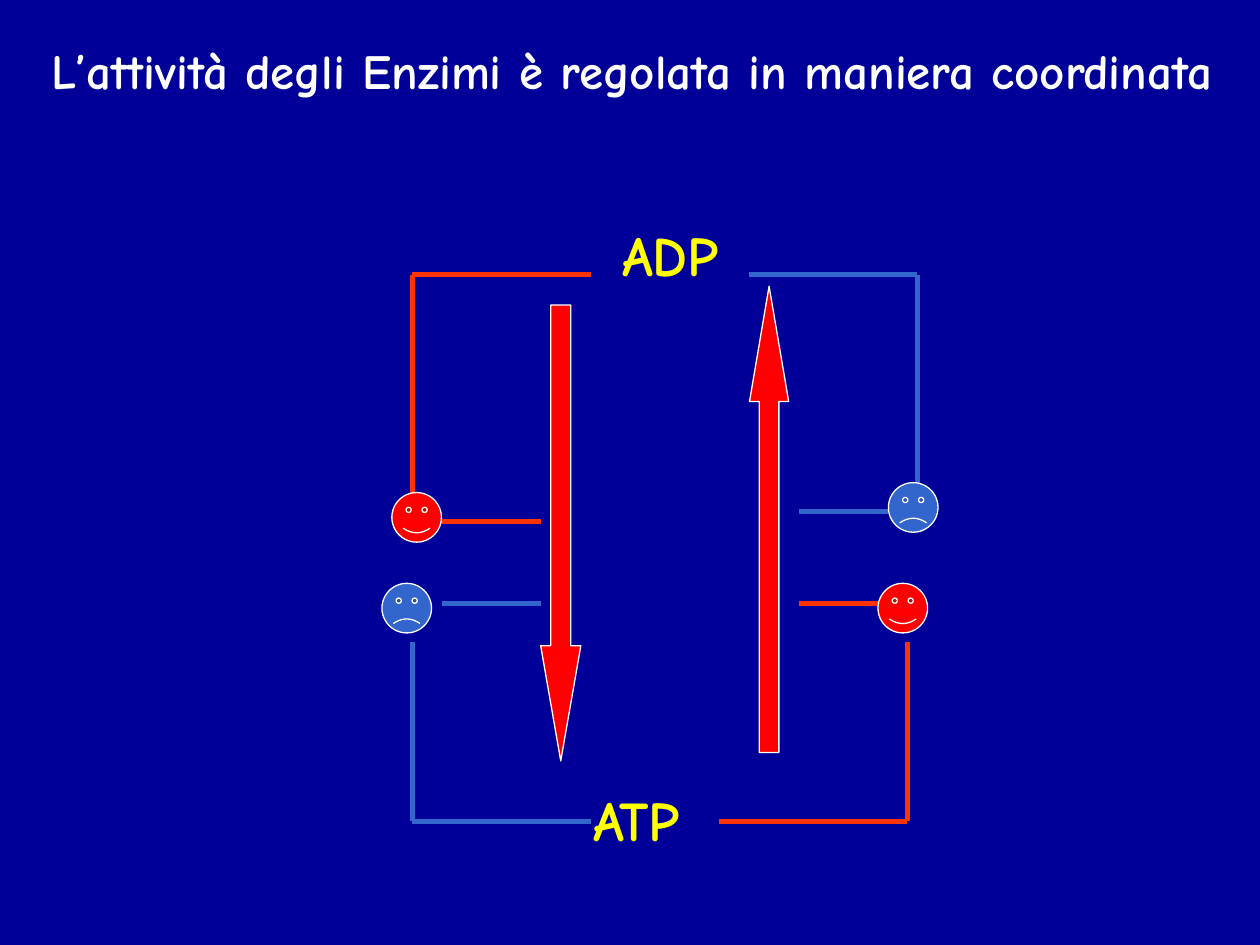
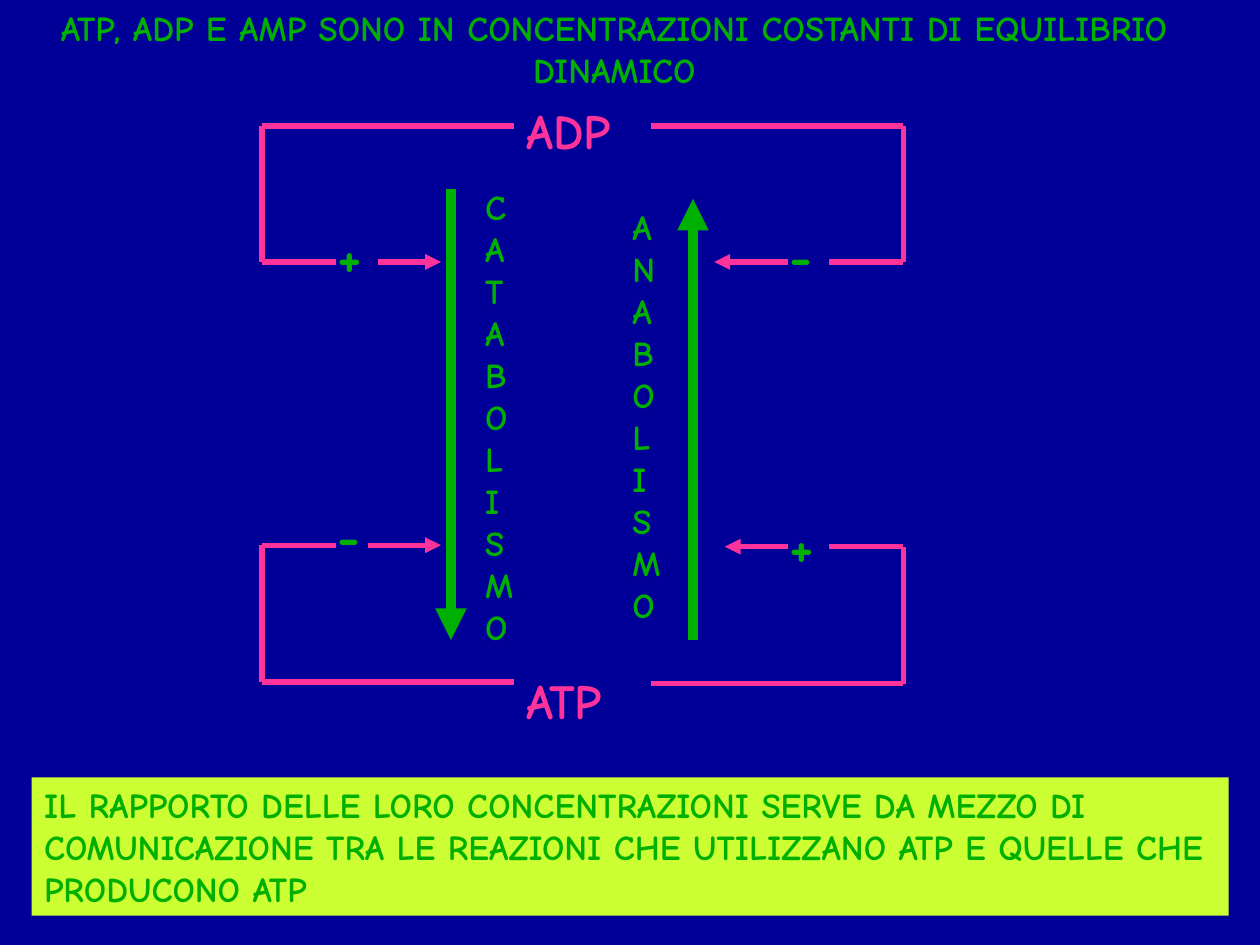
from itertools import pairwise

from lxml.etree import SubElement
from pptx import Presentation
from pptx.dml.color import RGBColor
from pptx.enum.shapes import MSO_CONNECTOR, MSO_SHAPE
from pptx.enum.text import PP_ALIGN
from pptx.oxml.ns import qn
from pptx.util import Cm, Pt

COLORS = {
    "background": "000099",
    "white": "FFFFFF",
    "yellow": "FFFF00",
    "active": "FF0000",
    "active_line": "FF3300",
    "inhibited": "3366CC",
    "green": "00B000",
    "pink": "FF3399",
    "lime": "CCFF33",
}
FONT = "Comic Neue"
FACE_SIZE = 1
SMILE = 0.047
SIGN_SIZE = (1.07, 1.6)


def color(name):
    return RGBColor.from_string(COLORS[name])


def add_page(deck):
    page = deck.slides.add_slide(deck.slide_layouts[6])
    page.background.fill.solid()
    page.background.fill.fore_color.rgb = color("background")
    return page


def write(box, text, size, ink, align=PP_ALIGN.LEFT):
    box.text_frame.word_wrap = True
    paragraph = box.text_frame.paragraphs[0]
    paragraph.text = text
    paragraph.alignment = align
    font = paragraph.font
    font.name, font.size, font.bold = FONT, Pt(size), True
    font.color.rgb = color(ink)


def add_text(page, place, text, size, ink, align=PP_ALIGN.LEFT):
    box = page.shapes.add_textbox(*map(Cm, place))
    write(box, text, size, ink, align)


def add_title(page, place, text, size, ink):
    add_text(page, place, text, size, ink, PP_ALIGN.CENTER)


def add_filled_shape(page, kind, place, fill, outline=None):
    shape = page.shapes.add_shape(kind, *map(Cm, place))
    shape.shadow.inherit = False
    shape.fill.solid()
    shape.fill.fore_color.rgb = color(fill)
    if outline:
        shape.line.color.rgb = color(outline)
        shape.line.width = Pt(0.75)
    else:
        shape.line.fill.background()
    return shape


def add_block_arrow(page, kind, place, head_length):
    arrow = add_filled_shape(page, kind, place, "active", "white")
    arrow.adjustments[0] = 0.5
    arrow.adjustments[1] = head_length


def add_face(page, left, top, happy):
    place = (left, top, FACE_SIZE, FACE_SIZE)
    fill = "active" if happy else "inhibited"
    face = add_filled_shape(page, MSO_SHAPE.SMILEY_FACE, place, fill, "white")
    face.adjustments[0] = SMILE if happy else -SMILE


def add_route(page, points, ink, width=3, arrow=False):
    """Join the points with straight lines, optionally ending in an arrowhead."""
    for start, end in pairwise(points):
        line = page.shapes.add_connector(
            MSO_CONNECTOR.STRAIGHT, *map(Cm, (*start, *end)))
        line.line.color.rgb = color(ink)
        line.line.width = Pt(width)
        properties = line._element.spPr
        if arrow and end == points[-1]:
            SubElement(properties.find(qn("a:ln")), qn("a:tailEnd"), type="triangle")
        SubElement(properties, qn("a:effectLst"))


def build_enzyme_regulation(deck):
    page = add_page(deck)
    add_title(page, (-0.41, 0.69, 26.29, 2.62),
              "L’attività degli Enzimi è regolata in maniera coordinata", 28, "white")

    # Opposite reactions between the two nucleotides
    add_block_arrow(page, MSO_SHAPE.DOWN_ARROW, (10.9, 6.15, 0.81, 9.19), 2.867)
    add_block_arrow(page, MSO_SHAPE.UP_ARROW, (15.11, 5.77, 0.79, 9.4), 2.945)
    add_text(page, (12.29, 4.32, 3.81, 1.6), "ADP", 32, "yellow")
    add_text(page, (11.71, 15.72, 3, 1.6), "ATP", 32, "yellow")

    # Paths from each nucleotide to a face, and from the face to a reaction
    routes = [
        ("active_line", [(11.91, 5.54), (8.31, 5.54), (8.31, 9.93)]),
        ("active_line", [(8.89, 10.52), (10.9, 10.52)]),
        ("inhibited", [(15.09, 5.54), (18.49, 5.54), (18.49, 10.31)]),
        ("inhibited", [(17.91, 10.31), (16.1, 10.31)]),
        ("inhibited", [(11.91, 16.56), (8.31, 16.56), (8.31, 12.95)]),
        ("inhibited", [(8.92, 12.17), (10.9, 12.17)]),
        ("active_line", [(14.5, 16.56), (18.29, 16.56), (18.29, 12.95)]),
        ("active_line", [(17.7, 12.17), (16.1, 12.17)]),
    ]
    for ink, points in routes:
        add_route(page, points, ink)

    # Enzymes switched on or off
    for left, top, happy in [(7.9, 9.93, True), (17.91, 9.73, False),
                             (7.7, 11.76, False), (17.7, 11.76, True)]:
        add_face(page, left, top, happy)


def build_dynamic_balance(deck):
    page = add_page(deck)
    add_title(page, (0, 0, 24.77, 1.96),
              "ATP, ADP E AMP SONO IN CONCENTRAZIONI COSTANTI DI EQUILIBRIO DINAMICO",
              20, "green")

    # Conclusion band
    band = add_filled_shape(page, MSO_SHAPE.RECTANGLE, (0.64, 15.67, 24.13, 2.79), "lime")
    write(band, "IL RAPPORTO DELLE LORO CONCENTRAZIONI SERVE DA MEZZO DI COMUNICAZIONE "
          "TRA LE REAZIONI CHE UTILIZZANO ATP E QUELLE CHE PRODUCONO ATP", 20, "green")

    # Nucleotides and the two pathways, whose names wrap letter by letter
    add_text(page, (10.36, 1.9, 2.54, 1.45), "ADP", 28, "pink")
    add_text(page, (10.36, 13.39, 2.54, 1.75), "ATP", 28, "pink")
    add_route(page, [(9.09, 3.81), (9.09, 12.9)], "green", 6, arrow=True)
    add_route(page, [(13.97, 12.9), (13.97, 4.01)], "green", 6, arrow=True)
    add_text(page, (9.53, 3.61, 1.07, 9.58), "CATABOLISMO", 20, "green")
    add_text(page, (12.5, 4.01, 1.07, 8.71), "ANABOLISMO", 20, "green")

    # Feedback loops: nucleotide row, sign row, arrow start and end, sign and its place
    left_side = (10.36, 5.28, 6.78)
    right_side = (13.13, 18.21, 16.71)
    loops = [
        (left_side, 2.54, 5.28, 7.62, 8.89, "+", (6.55, 4.32)),
        (right_side, 2.54, 5.28, 15.88, 14.4, "-", (15.67, 4.32)),
        (left_side, 13.75, 10.99, 7.42, 8.89, "-", (6.55, 9.96)),
        (right_side, 13.78, 11.02, 15.88, 14.61, "+", (15.67, 10.16)),
    ]
    for side, source_y, sign_y, start, end, sign, place in loops:
        inner, outer, stop = side
        add_route(page, [(inner, source_y), (outer, source_y),
                         (outer, sign_y), (stop, sign_y)], "pink")
        add_route(page, [(start, sign_y), (end, sign_y)], "pink", arrow=True)
        add_text(page, (*place, *SIGN_SIZE), sign, 32, "green")


def main():
    deck = Presentation()
    deck.slide_width, deck.slide_height = Cm(25.4), Cm(19.05)
    build_enzyme_regulation(deck)
    build_dynamic_balance(deck)
    deck.save("out.pptx")


if __name__ == "__main__":
    main()
